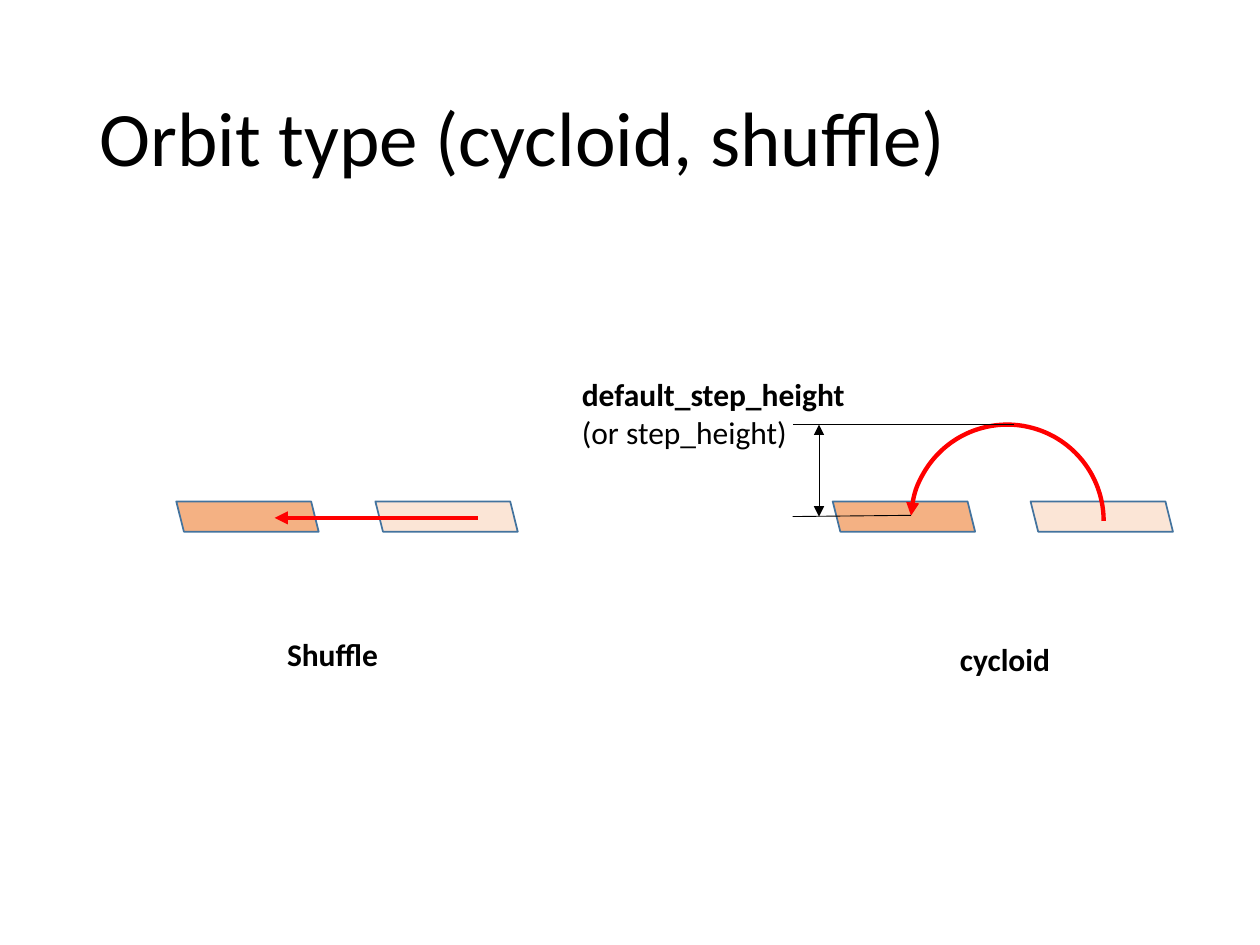
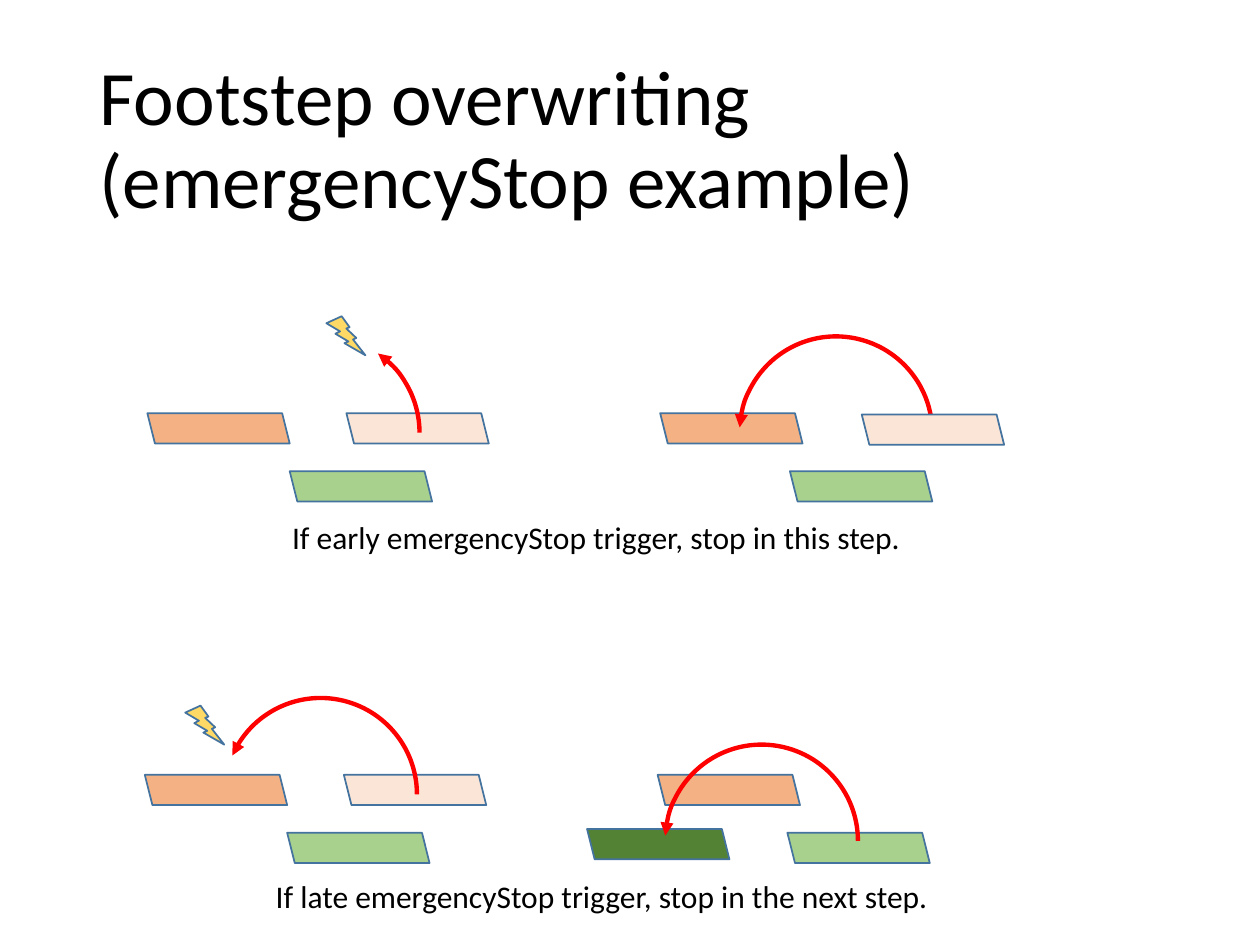
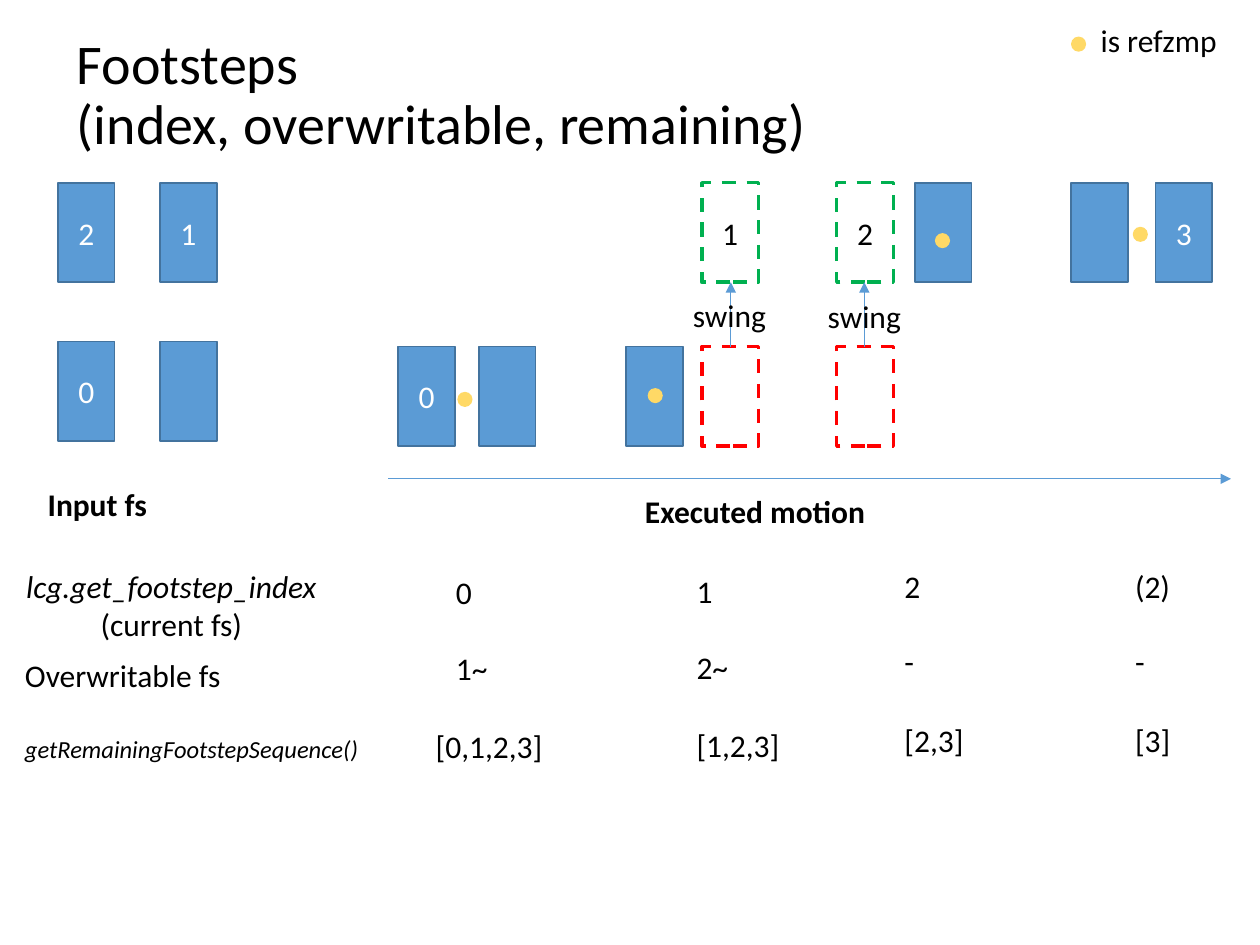
"""Build three slides on footstep orbits, overwriting and indices."""
from lxml import etree
from pptx import Presentation
from pptx.dml.color import RGBColor
from pptx.enum.dml import MSO_LINE
from pptx.enum.shapes import MSO_CONNECTOR, MSO_SHAPE
from pptx.enum.text import MSO_ANCHOR, MSO_AUTO_SIZE, PP_ALIGN
from pptx.oxml.ns import qn
from pptx.util import Inches, Pt

FOOT, ARC, BOLT = MSO_SHAPE.PARALLELOGRAM, MSO_SHAPE.ARC, MSO_SHAPE.LIGHTNING_BOLT
RECT, DOT, STRAIGHT = MSO_SHAPE.RECTANGLE, MSO_SHAPE.OVAL, MSO_CONNECTOR.STRAIGHT
DASH, MIDDLE = MSO_LINE.DASH, MSO_ANCHOR.MIDDLE
LEFT, CENTER = PP_ALIGN.LEFT, PP_ALIGN.CENTER
NO_FIT, GROW = MSO_AUTO_SIZE.NONE, MSO_AUTO_SIZE.SHAPE_TO_FIT_TEXT
FONT = "Calibri"
COLORS = {
    "black": "000000", "white": "FFFFFF", "red": "FF0000", "orange": "F4B183",
    "pale": "FBE5D6", "green": "A9D18E", "dark": "548235", "blue": "5B9BD5",
    "edge": "43739E", "yellow": "FFD966", "goal": "00B050",
}
RGB = {name: RGBColor.from_string(value) for name, value in COLORS.items()}
PLAIN, BOLD, ITALIC = {"size": Pt(18)}, {"size": Pt(18), "bold": True}, {"size": Pt(18), "italic": True}
SMALL = {"size": Pt(14), "italic": True}


def add_shape(s, kind, box, fill, line="edge", width=1, text="", color="white"):
    sp = s.shapes.add_shape(kind, *[Inches(v) for v in box])
    sp.shadow.inherit = False
    if fill:
        sp.fill.solid()
        sp.fill.fore_color.rgb = RGB[fill]
    else:
        sp.fill.background()
    if line:
        sp.line.color.rgb = RGB[line]
        sp.line.width = Pt(width)
    else:
        sp.line.fill.background()
    if text:
        sp.text_frame.vertical_anchor = MIDDLE
        p = sp.text_frame.paragraphs[0]
        p.alignment = CENTER
        r = p.add_run()
        r.text = text
        for key, value in {"name": FONT, "size": Pt(18)}.items():
            setattr(r.font, key, value)
        r.font.color.rgb = RGB[color]
    return sp


def add_arrowheads(sp, ends):
    for end in ends:
        etree.SubElement(sp.line._get_or_add_ln(), qn(f"a:{end}"), type="triangle")


prs = Presentation()
prs.slide_width, prs.slide_height = Inches(10), Inches(7.5)

slides = []
for text, size, x, y in [
    ("Orbit type (cycloid, shuffle)", 44, 0.69, 0.4),
    ("Footstep overwriting\v(emergencyStop example)", 44, 0.69, 0.4),
    ("Footsteps\v(index, overwritable, remaining)", 32, 0.51, 0.04),
]:
    s = prs.slides.add_slide(prs.slide_layouts[5])
    title = s.shapes.title
    title.left, title.top, title.width, title.height = [Inches(v) for v in (x, y, 8.62, 1.45)]
    tf = title.text_frame
    tf.text = text
    for key, value in {"vertical_anchor": MIDDLE, "auto_size": NO_FIT, "word_wrap": True}.items():
        setattr(tf, key, value)
    p = tf.paragraphs[0]
    p.alignment, p.line_spacing = LEFT, 0.9
    for r in p.runs:
        for key, value in {"name": FONT, "size": Pt(size)}.items():
            setattr(r.font, key, value)
        r.font.color.rgb = RGB["black"]
    slides.append(s)
orbit, overwrite, index = slides

feet = [(orbit, x, 3.98, fill) for x, fill in
        [(6.61, "orange"), (8.18, "pale"), (1.4, "orange"), (2.98, "pale")]]
for x, y in [(1.17, 3.28), (1.15, 6.15)]:
    feet += [(overwrite, x, y, "orange"), (overwrite, x + 1.58, y, "pale"),
             (overwrite, x + 4.07, y, "orange"), (overwrite, x + 1.13, y + 0.46, "green"),
             (overwrite, x + 5.1, y + 0.46, "green")]
feet.append((overwrite, 4.66, 6.58, "dark"))
landing_foot = (overwrite, 6.84, 3.29, "pale")
arcs = [(orbit, 7.23, 3.37, 109.91), (overwrite, 1.8, 2.67, 182.82), (overwrite, 5.87, 2.67, 109.91),
        (overwrite, 1.78, 5.54, 122.26), (overwrite, 5.28, 5.91, 109.91)]

for s, x, y, fill in feet:
    sp = add_shape(s, FOOT, (x, y, 1.13, 0.24), fill)
    sp.element.spPr.find(qn("a:xfrm")).set("flipH", "1")
for s, x, y, start in arcs:
    sp = add_shape(s, ARC, (x, y, 1.53, 1.53), None, "red", 2.5)
    sp.adjustments[0], sp.adjustments[1] = start, 0
    add_arrowheads(sp, ["headEnd"])
s, x, y, fill = landing_foot
sp = add_shape(s, FOOT, (x, y, 1.13, 0.24), fill)
sp.element.spPr.find(qn("a:xfrm")).set("flipH", "1")
for x, y in [(2.59, 2.51), (1.47, 5.6)]:
    add_shape(overwrite, BOLT, (x, y, 0.31, 0.31), "yellow")

TOP, INPUT, START = 1.45, 2.71, 2.75
for x, y, text in [
    (0.46, INPUT, "0"), (1.27, INPUT, ""), (0.46, TOP, "2"), (1.27, TOP, "1"),
    (3.16, START, "0"), (3.8, START, ""), (4.97, START, ""),
    (7.26, TOP, ""), (8.5, TOP, ""), (9.17, TOP, "3"),
]:
    add_shape(index, RECT, (x, y, 0.45, 0.79), "blue", text=text)
for x, number in [(5.57, "1"), (6.64, "2")]:
    for y, line, text in [(START, "red", ""), (TOP, "goal", number)]:
        sp = add_shape(index, RECT, (x, y, 0.45, 0.79), "white", line, 2, text, "black")
        sp.line.dash_style = DASH
for x, y in [(3.63, 3.11), (5.14, 3.08), (7.42, 1.85), (8.99, 1.8), (8.5, 0.29)]:
    add_shape(index, DOT, (x, y, 0.12, 0.12), "yellow", None)

for s, points, color, width, ends in [
    (orbit, (3.79, 4.11, 2.18, 4.11), "red", 2.5, ["tailEnd"]),
    (orbit, (8.05, 3.37, 6.29, 3.37), "black", 0.5, []),
    (orbit, (7.23, 4.09, 6.29, 4.1), "black", 0.5, []),
    (orbit, (6.5, 3.37, 6.5, 4.1), "black", 0.5, ["headEnd", "tailEnd"]),
    (index, (5.8, 2.75, 5.8, 2.24), "blue", 0.5, ["tailEnd"]),
    (index, (6.86, 2.75, 6.86, 2.24), "blue", 0.5, ["tailEnd"]),
    (index, (3.08, 3.8, 9.77, 3.8), "blue", 0.5, ["tailEnd"]),
]:
    sp = s.shapes.add_connector(STRAIGHT, *[Inches(v) for v in points])
    sp.line.color.rgb = RGB[color]
    sp.line.width = Pt(width)
    add_arrowheads(sp, ends)
    etree.SubElement(sp.element.spPr, qn("a:effectLst"))

labels = [
    (orbit, (2.18, 4.99, 0.94, 0.4), [("Shuffle", BOLD, LEFT)]),
    (orbit, (7.52, 5.03, 0.92, 0.4), [("cycloid", BOLD, LEFT)]),
    (orbit, (4.52, 2.93, 2.3, 0.71),
     [("default_step_height", BOLD, LEFT), ("(or step_height)", PLAIN, LEFT)]),
    (overwrite, (2.22, 4.06, 5.14, 0.4),
     [("If early emergencyStop trigger, stop in this step. ", PLAIN, LEFT)]),
    (overwrite, (2.09, 6.91, 5.5, 0.4),
     [("If late emergencyStop trigger, stop in the next step. ", PLAIN, LEFT)]),
    (index, (0.28, 3.8, 1, 0.4), [("Input fs", BOLD, LEFT)]),
    (index, (5.02, 3.86, 1.99, 0.4), [("Executed motion", BOLD, LEFT)]),
    (index, (8.58, 0.12, 1.19, 0.4), [(" is refzmp", PLAIN, LEFT)]),
    (index, (5.4, 2.3, 0.79, 0.4), [("swing", PLAIN, LEFT)]),
    (index, (6.47, 2.31, 0.79, 0.4), [("swing", PLAIN, LEFT)]),
    (index, (0.11, 4.45, 2.53, 0.71),
     [("lcg.get_footstep_index", ITALIC, LEFT), ("(current fs)", PLAIN, CENTER)]),
    (index, (0.1, 5.16, 1.77, 0.4), [("Overwritable fs", PLAIN, LEFT)]),
    (index, (0.1, 5.78, 2.87, 0.34), [("getRemainingFootstepSequence()", SMALL, LEFT)]),
]
for y, cells in [
    (4.5, [(3.52, 0.33, "0"), (5.43, 0.33, "1"), (7.08, 0.33, "2"), (8.91, 0.61, "(2)")]),
    (5.1, [(3.52, 0.46, "1~"), (5.43, 0.46, "2~"), (7.08, 0.28, "-"), (8.91, 0.61, "-")]),
    (5.72, [(3.36, 1.06, "[0,1,2,3]"), (5.43, 0.87, "[1,2,3]"),
            (7.08, 0.68, "[2,3]"), (8.91, 0.61, "[3]")]),
]:
    for (x, w, text), rise in zip(cells, (0, 0.01, 0.05, 0.05)):
        labels.append((index, (x, y - rise, w, 0.4), [(text, PLAIN, LEFT)]))

for s, box, lines in labels:
    tf = s.shapes.add_textbox(*[Inches(v) for v in box]).text_frame
    tf.word_wrap, tf.auto_size = False, GROW
    for i, (text, style, align) in enumerate(lines):
        p = tf.add_paragraph() if i else tf.paragraphs[0]
        p.alignment = align
        r = p.add_run()
        r.text = text
        for key, value in {"name": FONT, **style}.items():
            setattr(r.font, key, value)
        r.font.color.rgb = RGB["black"]

prs.save("out.pptx")
